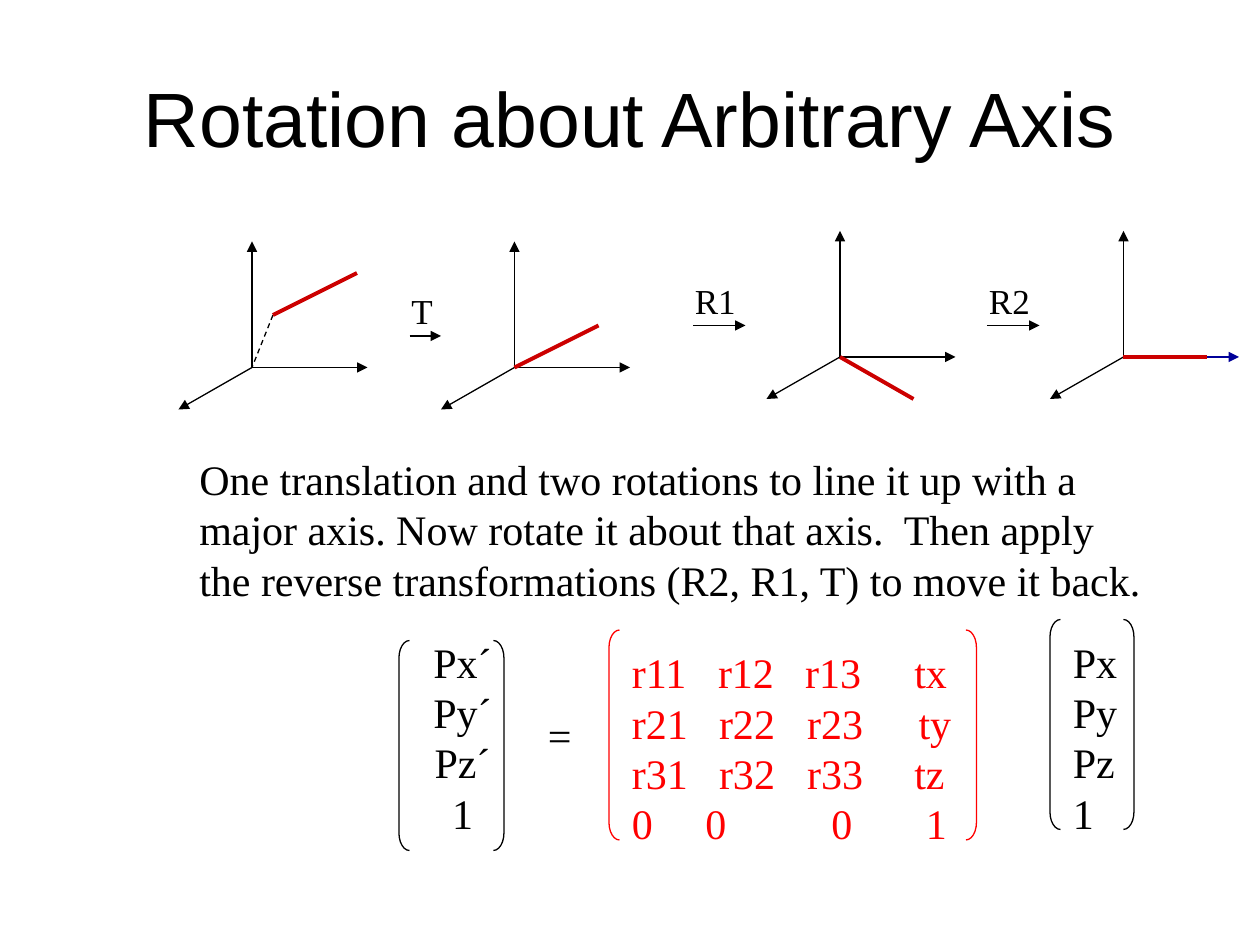
from lxml import etree
from pptx import Presentation
from pptx.dml.color import RGBColor
from pptx.enum.dml import MSO_LINE
from pptx.enum.shapes import MSO_CONNECTOR, MSO_SHAPE
from pptx.enum.text import MSO_ANCHOR, MSO_AUTO_SIZE, PP_ALIGN
from pptx.oxml.ns import qn
from pptx.util import Pt

PX = 7620
COLORS = {"black": "000000", "red": "FF0000", "axis": "CC0000", "blue": "000099"}
SERIF, SANS = "Times New Roman", "Arial"
STRAIGHT = MSO_CONNECTOR.STRAIGHT
DASH = MSO_LINE.DASH
LEFT, RIGHT = MSO_SHAPE.LEFT_BRACKET, MSO_SHAPE.RIGHT_BRACKET
TOP, MIDDLE = MSO_ANCHOR.TOP, MSO_ANCHOR.MIDDLE
FIXED, GROW = MSO_AUTO_SIZE.NONE, MSO_AUTO_SIZE.SHAPE_TO_FIT_TEXT
START, CENTER = PP_ALIGN.LEFT, PP_ALIGN.CENTER


def rgb(name):
    """Return the named colour."""
    return RGBColor.from_string(COLORS[name])


def emu(*nums):
    """Turn px lengths into EMU."""
    return [n * PX for n in nums]


def add_text(slide, box, rows, size=24, color="black", font=SERIF,
             align=START, anchor=TOP, wrap=False, stops=None):
    """Place one paragraph per row, with tab stops per row if given."""
    frame = slide.shapes.add_textbox(*emu(*box)).text_frame
    frame.word_wrap = wrap
    frame.auto_size = FIXED if wrap else GROW
    frame.vertical_anchor = anchor
    for i, row in enumerate(rows):
        para = frame.paragraphs[0] if i == 0 else frame.add_paragraph()
        para.alignment = align
        if stops:
            tabs = etree.SubElement(para._p.get_or_add_pPr(), qn("a:tabLst"))
            for pos in stops[i]:
                etree.SubElement(tabs, qn("a:tab"), pos=str(pos * PX), algn="l")
        run = para.add_run()
        run.text = row
        run.font.size = Pt(size)
        run.font.name = font
        run.font.color.rgb = rgb(color)


def add_line(slide, start, end, color="black", width=0.75, head=False, dash=None):
    """Draw a straight line, with an arrowhead at its end on request."""
    line = slide.shapes.add_connector(STRAIGHT, *emu(*start, *end))
    line.line.color.rgb = rgb(color)
    line.line.width = Pt(width)
    if dash:
        line.line.dash_style = dash
    if head:
        etree.SubElement(line.line._get_or_add_ln(), qn("a:tailEnd"), type="triangle")
    etree.SubElement(line._element.spPr, qn("a:effectLst"))


def add_axes(slide, origin, start, end, side="black"):
    """Draw three axes at the origin and the red segment relative to it."""
    x, y = origin
    for dx, dy, color in ((0, -120, "black"), (110, 0, side), (-70, 40, "black")):
        add_line(slide, origin, (x + dx, y + dy), color, head=True)
    first = (x + start[0], y + start[1])
    if first != origin:
        add_line(slide, first, origin, dash=DASH)
    add_line(slide, first, (x + end[0], y + end[1]), "axis", 2.25)


def add_step(slide, box, name, dx):
    """Place a step name with its arrow below."""
    x, y, w, h = box
    add_text(slide, box, [name], 20)
    add_line(slide, (x + 10, y + 50), (x + 10 + dx, y + 50), head=True)


def add_matrix(slide, box, inset, rows, color="black", align=START, stops=None):
    """Place rows of terms between a pair of brackets."""
    x, y, w, h = box
    for kind, left in ((LEFT, x), (RIGHT, x + w - 10)):
        shape = slide.shapes.add_shape(kind, *emu(left, y, 10, h))
        shape.adjustments[0] = 1.67
        shape.shadow.inherit = False
        shape.fill.background()
        shape.line.color.rgb = rgb(color)
        shape.line.width = Pt(0.75)
    dx, dy, wide = inset
    add_text(slide, (x + dx, y + dy, wide, 204), rows, color=color,
             align=align, wrap=bool(stops), stops=stops)


def add_steps(slide):
    """Draw the four stages and the steps between them."""
    add_axes(slide, (240, 350), (20, -50), (100, -90))
    add_axes(slide, (490, 350), (0, 0), (80, -40))
    add_axes(slide, (800, 340), (0, 0), (70, 40))
    add_axes(slide, (1070, 340), (0, 0), (80, 0), "blue")
    add_step(slide, (380, 270, 44, 53), "T", 30)
    add_step(slide, (650, 260, 64, 53), "R1", 50)
    add_step(slide, (930, 260, 64, 53), "R2", 50)


def add_formula(slide):
    """Place the matrix equation."""
    add_matrix(slide, (380, 610, 100, 200), (19, -10, 83),
               ["Px´", "Py´", "Pz´", "1"], align=CENTER)
    add_text(slide, (510, 670, 47, 60), ["="])
    add_matrix(slide, (580, 600, 350, 200), (10, 10, 340),
               ["r11\tr12\tr13\ttx", "r21\tr22\tr23\tty",
                "r31\tr32\tr33\ttz", "0\t0\t0\t1"], "red",
               stops=[(82, 165, 269), (83, 167, 273), (83, 167, 269), (70, 190, 280)])
    add_matrix(slide, (1000, 590, 80, 200), (10, 10, 66), ["Px", "Py", "Pz", "1"])


def main():
    """Build the slide and save it."""
    deck = Presentation()
    deck.slide_width, deck.slide_height = emu(1200, 900)
    slide = deck.slides.add_slide(deck.slide_layouts[6])
    add_text(slide, (60, 36, 1080, 150), ["Rotation about Arbitrary Axis"], 44,
             font=SANS, align=CENTER, anchor=MIDDLE, wrap=True)
    add_steps(slide)
    add_text(slide, (178, 426, 922, 156), [
        "One translation and two rotations to line it up with a",
        "major axis. Now rotate it about that axis.  Then apply",
        "the reverse transformations (R2, R1, T) to move it back."])
    add_formula(slide)
    deck.save("out.pptx")


if __name__ == "__main__":
    main()
